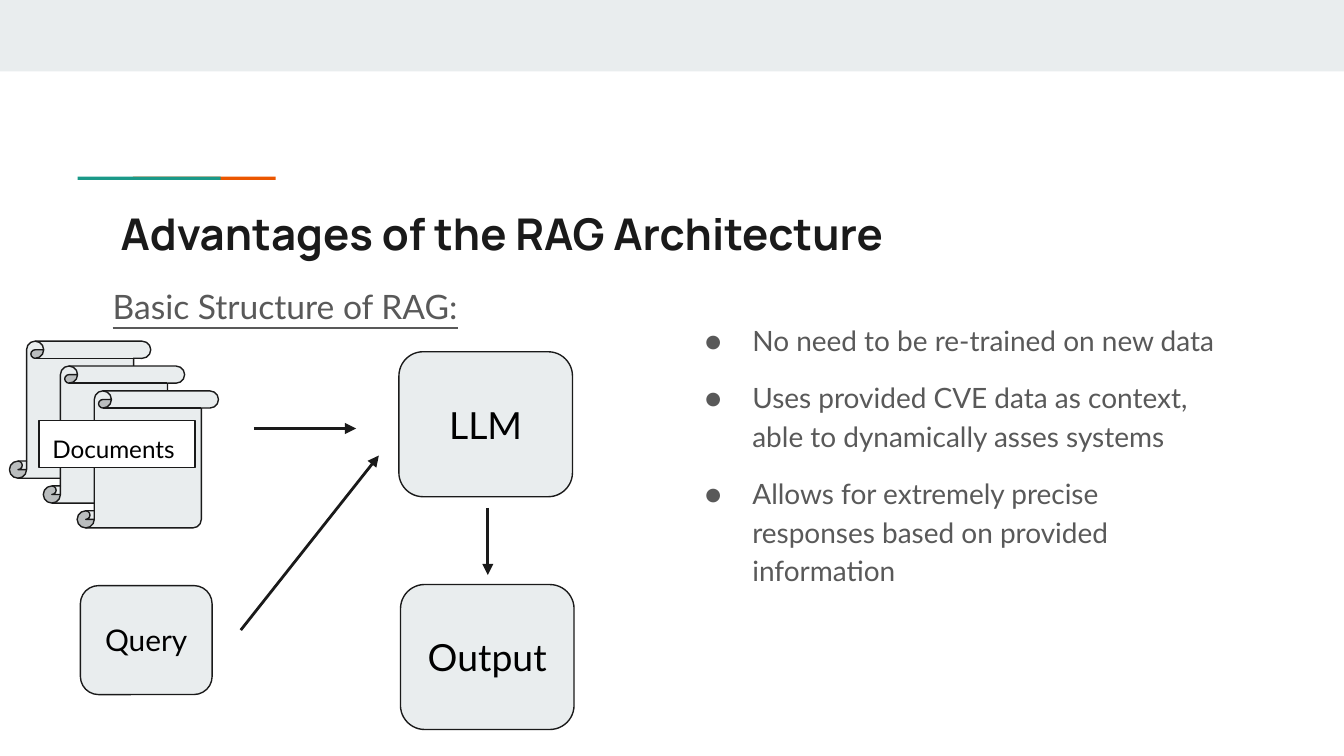
from lxml.etree import SubElement
from pptx import Presentation
from pptx.dml.color import RGBColor
from pptx.enum.shapes import MSO_CONNECTOR as LINE, MSO_SHAPE as SHAPE
from pptx.enum.text import MSO_ANCHOR as ANCHOR, PP_ALIGN as ALIGN
from pptx.oxml.ns import qn
from pptx.util import Cm, Pt

COLORS = {
    "pale": "E9EDEE",
    "orange": "EB5600",
    "teal": "1A9988",
    "ink": "1A1A1A",
    "gray": "595959",
    "black": "000000",
    "white": "FFFFFF",
}
ADVANTAGES = [
    "No need to be re-trained on new data",
    "Uses provided CVE data as context, able to dynamically asses systems",
    "Allows for extremely precise responses based on provided information",
]


def color(name):
    return RGBColor.from_string(COLORS[name])


def style_font(font, size, tint, face="Lato"):
    font.name = face
    font.size = Pt(size)
    font.color.rgb = color(tint)


def prepare_frame(frame):
    frame.word_wrap = True
    frame.margin_left = frame.margin_right = Cm(0.25)
    frame.margin_top = frame.margin_bottom = Cm(0.25)


def add_block(slide, kind, box, fill, outlined=True):
    block = slide.shapes.add_shape(kind, *map(Cm, box))
    block.shadow.inherit = False
    block.fill.solid()
    block.fill.fore_color.rgb = color(fill)
    if outlined:
        block.line.color.rgb = color("ink")
        block.line.width = Pt(0.75)
    else:
        block.line.fill.background()
    return block


def label_block(block, words, size, align=ALIGN.CENTER, anchor=ANCHOR.MIDDLE):
    frame = block.text_frame
    prepare_frame(frame)
    frame.vertical_anchor = anchor
    frame.text = words
    line = frame.paragraphs[0]
    line.alignment = align
    style_font(line.runs[0].font, size, "black")


def add_node(slide, words, box, size):
    node = add_block(slide, SHAPE.ROUNDED_RECTANGLE, box, "pale")
    label_block(node, words, size)


def add_heading(slide, words, box, size, tint, face="Lato"):
    frame = slide.shapes.add_textbox(*map(Cm, box)).text_frame
    prepare_frame(frame)
    frame.text = words
    font = frame.paragraphs[0].runs[0].font
    style_font(font, size, tint, face)
    return font


def add_arrow(slide, *ends):
    arrow = slide.shapes.add_connector(LINE.STRAIGHT, *map(Cm, ends))
    arrow.line.color.rgb = color("ink")
    arrow.line.width = Pt(1.5)
    SubElement(arrow.line._get_or_add_ln(), qn("a:tailEnd"), type="triangle")
    SubElement(arrow._element.spPr, qn("a:effectLst"))


def add_bullet(paragraph):
    props = paragraph._p.get_or_add_pPr()
    props.set("marL", str(Cm(1.27)))
    props.set("indent", str(Cm(-0.9)))
    tint = SubElement(props, qn("a:buClr"))
    SubElement(tint, qn("a:srgbClr"), val=COLORS["gray"])
    SubElement(props, qn("a:buFont"), typeface="Lato")
    SubElement(props, qn("a:buChar"), char="●")


def add_advantages(slide, box):
    frame = slide.shapes.add_textbox(*map(Cm, box)).text_frame
    prepare_frame(frame)
    frame.text = "\n".join(ADVANTAGES)
    for index, paragraph in enumerate(frame.paragraphs):
        add_bullet(paragraph)
        paragraph.line_spacing = 1.15
        if index:
            paragraph.space_before = Pt(10)
        style_font(paragraph.runs[0].font, 15, "gray")


def add_documents(slide):
    for sheet in range(3):
        box = (0.18 + 0.64 * sheet, 6.45 + 0.47 * sheet, 2.67, 2.59)
        add_block(slide, SHAPE.VERTICAL_SCROLL, box, "pale")
    tag = add_block(slide, SHAPE.RECTANGLE, (0.74, 7.95, 2.95, 0.89), "white")
    label_block(tag, "Documents", 13, ALIGN.LEFT, ANCHOR.TOP)


def main():
    deck = Presentation()
    deck.slide_width, deck.slide_height = Cm(25.4), Cm(14.29)
    slide = deck.slides.add_slide(deck.slide_layouts[6])

    add_block(slide, SHAPE.RECTANGLE, (0, 0, 25.4, 1.35), "pale", False)
    for left, tint in ((2.51, "orange"), (1.47, "teal")):
        add_block(slide, SHAPE.RECTANGLE, (left, 3.34, 2.7, 0.06), tint, False)

    title = add_heading(slide, "Advantages of the RAG Architecture",
                        (2.03, 3.66, 21.36, 1.5), 23.4, "ink", "Manrope")
    title.bold = True
    add_advantages(slide, (12.7, 5.77, 10.69, 6.27))

    add_node(slide, "LLM", (7.54, 6.65, 3.28, 2.74), 20)
    add_node(slide, "Output", (7.57, 11.05, 3.28, 2.74), 20)
    add_node(slide, "Query", (1.52, 11.07, 2.49, 2.06), 16)
    add_documents(slide)
    add_arrow(slide, 4.8, 8.1, 6.73, 8.1)
    add_arrow(slide, 9.22, 9.6, 9.22, 10.87)
    add_arrow(slide, 4.55, 11.91, 7.16, 8.61)

    subtitle = add_heading(slide, "Basic Structure of RAG:",
                           (1.88, 5.16, 8.38, 1.5), 18, "gray")
    subtitle.underline = True
    deck.save("out.pptx")


if __name__ == "__main__":
    main()
